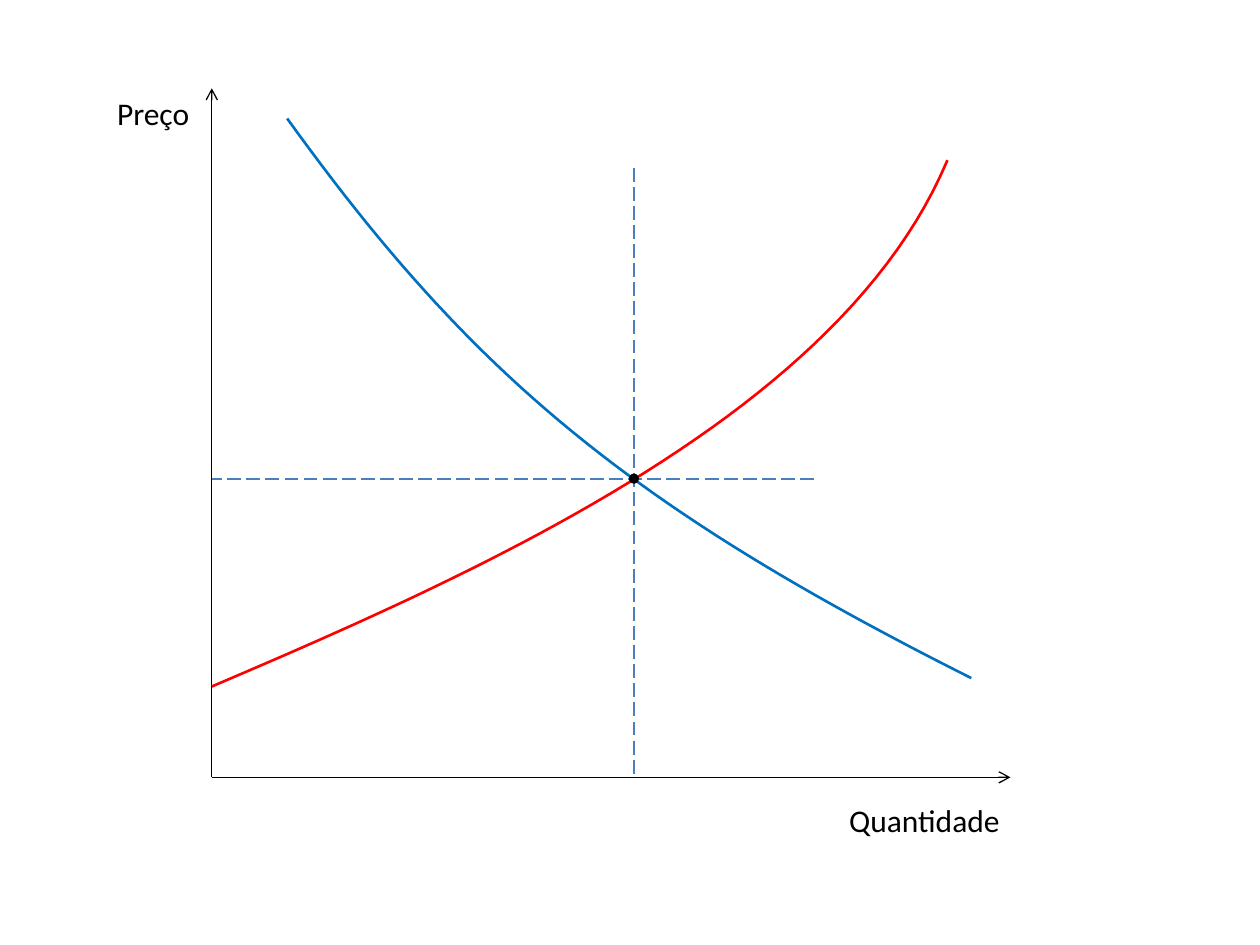
import pptx
import pptx.dml.color
import pptx.enum.dml
import pptx.enum.shapes
import pptx.oxml.ns
import pptx.util
from lxml import etree
from pptx.util import Cm

RGBColor = pptx.dml.color.RGBColor
BLACK = RGBColor(0x00, 0x00, 0x00)
SUPPLY_RED = RGBColor(0xFF, 0x00, 0x00)
DEMAND_BLUE = RGBColor(0x00, 0x70, 0xC0)
GUIDE_BLUE = RGBColor(0x4B, 0x7E, 0xBC)

# Key positions in centimetres
ORIGIN_X, ORIGIN_Y = 4.27, 15.67
EQUILIBRIUM_X, EQUILIBRIUM_Y = 12.78, 9.65
DOT_SIZE = 0.13
CURVE_STEPS = 48


def add_line(slide, start, end, color, width):
    line = slide.shapes.add_connector(
        pptx.enum.shapes.MSO_CONNECTOR.STRAIGHT,
        Cm(start[0]), Cm(start[1]), Cm(end[0]), Cm(end[1]))
    line.line.color.rgb = color
    line.line.width = pptx.util.Pt(width)
    etree.SubElement(line._element.spPr, pptx.oxml.ns.qn("a:effectLst"))
    return line


def add_axis(slide, end):
    axis = add_line(slide, (ORIGIN_X, ORIGIN_Y), end, BLACK, 0.75)
    etree.SubElement(axis.line._get_or_add_ln(),
                     pptx.oxml.ns.qn("a:tailEnd"), type="arrow")


def add_guide(slide, start, end):
    guide = add_line(slide, start, end, GUIDE_BLUE, 1)
    guide.line.dash_style = pptx.enum.dml.MSO_LINE.LONG_DASH


def bezier_point(controls, t):
    weights = ((1 - t) ** 3, 3 * t * (1 - t) ** 2, 3 * t ** 2 * (1 - t), t ** 3)
    return tuple(Cm(sum(w * point[axis] for w, point in zip(weights, controls)))
                 for axis in (0, 1))


def add_curve(slide, controls, color):
    points = [bezier_point(controls, step / CURVE_STEPS)
              for step in range(CURVE_STEPS + 1)]
    builder = slide.shapes.build_freeform(*points[0])
    builder.add_line_segments(points[1:], close=False)
    curve = builder.convert_to_shape()
    curve.shadow.inherit = False
    curve.fill.background()
    curve.line.color.rgb = color
    curve.line.width = pptx.util.Pt(1.5)


def add_label(slide, text, left, top, width):
    label = slide.shapes.add_textbox(Cm(left), Cm(top), Cm(width), Cm(1.02))
    label.text_frame.word_wrap = True
    paragraph = label.text_frame.paragraphs[0]
    paragraph.text = text
    paragraph.font.name = "Calibri"
    paragraph.font.size = pptx.util.Pt(18)
    paragraph.font.color.rgb = BLACK


def add_equilibrium_dot(slide):
    dot = slide.shapes.add_shape(
        pptx.enum.shapes.MSO_SHAPE.OVAL,
        Cm(EQUILIBRIUM_X - DOT_SIZE / 2), Cm(EQUILIBRIUM_Y - DOT_SIZE / 2),
        Cm(DOT_SIZE), Cm(DOT_SIZE))
    dot.shadow.inherit = False
    dot.fill.solid()
    dot.fill.fore_color.rgb = BLACK
    dot.line.color.rgb = BLACK
    dot.line.width = pptx.util.Pt(2)


def main():
    deck = pptx.Presentation()
    deck.slide_width, deck.slide_height = Cm(25.4), Cm(19.05)
    slide = deck.slides.add_slide(deck.slide_layouts[6])

    # Axes and their labels
    add_axis(slide, (20.37, ORIGIN_Y))
    add_axis(slide, (ORIGIN_X, 1.78))
    add_label(slide, "Preço", 2.11, 1.78, 2.62)
    add_label(slide, "Quantidade", 16.87, 16.03, 4.01)

    # Vertical guide, below the curves
    add_guide(slide, (EQUILIBRIUM_X, 3.38), (EQUILIBRIUM_X, ORIGIN_Y))

    # Supply and demand
    add_curve(slide, [(ORIGIN_X, 13.84), (9.93, 11.43), (16.99, 8.26),
                      (19.1, 3.23)], SUPPLY_RED)
    add_curve(slide, [(19.58, 13.67), (12.75, 10.24), (9.53, 7.59),
                      (5.79, 2.39)], DEMAND_BLUE)

    # Horizontal guide and equilibrium point, above the curves
    add_guide(slide, (16.41, EQUILIBRIUM_Y), (ORIGIN_X, EQUILIBRIUM_Y))
    add_equilibrium_dot(slide)

    deck.save("out.pptx")


if __name__ == "__main__":
    main()
